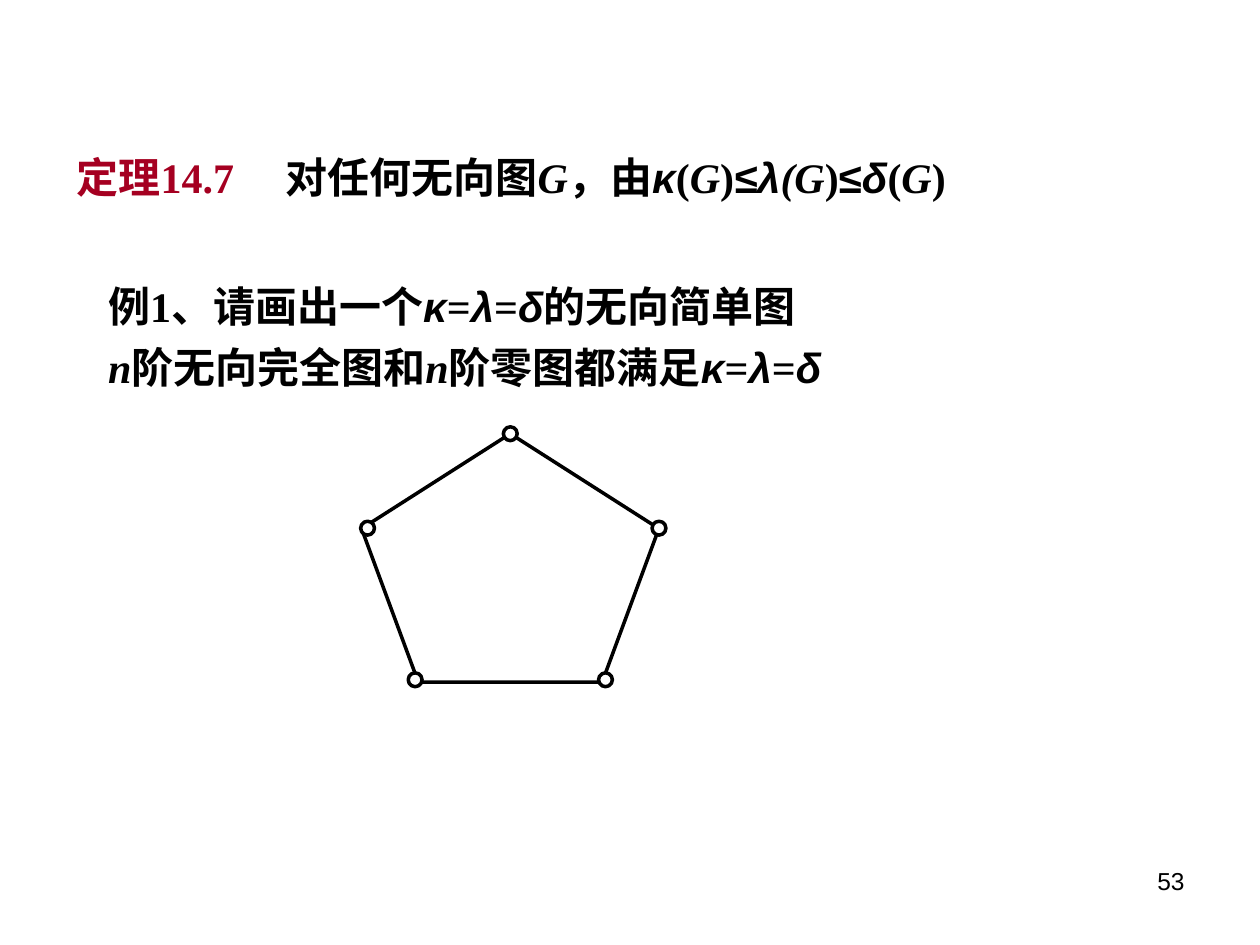
from lxml.etree import SubElement
from pptx import Presentation
from pptx.dml.color import RGBColor
from pptx.enum.shapes import MSO_SHAPE
from pptx.enum.text import PP_ALIGN
from pptx.oxml.ns import qn
from pptx.util import Inches, Pt

WIDE, HIGH = 10, 7.5
INK = {"text": "000000", "term": "A50021", "node": "FFFFFF"}
TIMES, ARIAL = "Times New Roman", "Arial"

# Run styles
BASE = {"name": TIMES, "size": Pt(24), "bold": True, "italic": False}
STYLE = {
    "term": BASE,
    "text": BASE,
    "var": {**BASE, "italic": True},
    "greek": {**BASE, "name": ARIAL, "italic": True},
    "sign": {**BASE, "name": ARIAL},
    "page": {"name": ARIAL, "size": Pt(14)},
}

EQUAL = [("κ", "greek"), ("=", "text"), ("λ", "greek"), ("=", "text"), ("δ", "greek")]
THEOREM = [
    ("定理14.7", "term"), ("\t对任何无向图", "text"), ("G", "var"), ("，由", "text"),
    ("κ", "greek"), ("(", "text"), ("G", "var"), (")", "text"),
    ("≤λ", "greek"), ("(G", "var"), (")", "text"), ("≤", "sign"),
    ("δ", "greek"), ("(", "text"), ("G", "var"), (")", "text"),
]
TASK = [("例1、请画出一个", "text"), *EQUAL, ("的无向简单图", "text")]
ANSWER = [("n", "var"), ("阶无向完全图和", "text"), ("n", "var"),
          ("阶零图都满足", "text"), *EQUAL]

# Nodes as shares of the pentagon's box
NODES = [(0.5, 0), (1, 0.38), (0.82, 0.99), (0.18, 0.99), (0.02, 0.38)]
DOT = 0.11


def share(x, y, w, h):
    """Turn shares of the slide into a box in inches."""
    return x * WIDE, y * HIGH, w * WIDE, h * HIGH


def color(name):
    return RGBColor.from_string(INK[name])


def add_text(slide, box):
    frame = slide.shapes.add_textbox(*map(Inches, box)).text_frame
    frame.word_wrap = True
    return frame


def fill_line(para, runs):
    for text, style in runs:
        run = para.add_run()
        run.text = text
        for key, value in STYLE[style].items():
            setattr(run.font, key, value)
        run.font.color.rgb = color("term" if style == "term" else "text")


def set_tab(para, inches):
    tabs = SubElement(para._p.get_or_add_pPr(), qn("a:tabLst"))
    SubElement(tabs, qn("a:tab"), pos=str(Inches(inches)), algn="l")


def add_body(slide, box):
    frame = add_text(slide, box)
    # Runs, left margin, space before, line spacing
    lines = [(THEOREM, 0, 0, 1.1), (TASK, 0.25, 45, 1), (ANSWER, 0.25, 6, 1)]
    for index, (runs, left, gap, pitch) in enumerate(lines):
        para = frame.add_paragraph() if index else frame.paragraphs[0]
        para.line_spacing = pitch
        para.space_before = Pt(gap)
        para._p.get_or_add_pPr().set("marL", str(Inches(left)))
        if runs is THEOREM:
            set_tab(para, 1.66)
        fill_line(para, runs)


def add_shape(slide, kind, box, fill=None):
    shape = slide.shapes.add_shape(kind, *map(Inches, box))
    shape.shadow.inherit = False
    if fill:
        shape.fill.solid()
        shape.fill.fore_color.rgb = color(fill)
    else:
        shape.fill.background()
    shape.line.color.rgb = color("text")
    shape.line.width = Pt(2)


def add_graph(slide, box):
    x, y, w, h = box
    add_shape(slide, MSO_SHAPE.REGULAR_PENTAGON, box)
    for across, down in NODES:
        spot = (x + across * w - DOT / 2, y + down * h - DOT / 2, DOT, DOT)
        add_shape(slide, MSO_SHAPE.OVAL, spot, "node")


def add_page(slide, box):
    para = add_text(slide, box).paragraphs[0]
    para.alignment = PP_ALIGN.RIGHT
    fill_line(para, [("53", "page")])


def main():
    deck = Presentation()
    deck.slide_width, deck.slide_height = Inches(WIDE), Inches(HIGH)
    slide = deck.slides.add_slide(deck.slide_layouts[6])
    add_page(slide, share(0.717, 0.91, 0.233, 0.07))
    add_body(slide, share(0.051, 0.148, 0.9, 0.767))
    add_graph(slide, share(0.287, 0.459, 0.236, 0.263))
    deck.save("out.pptx")


if __name__ == "__main__":
    main()
